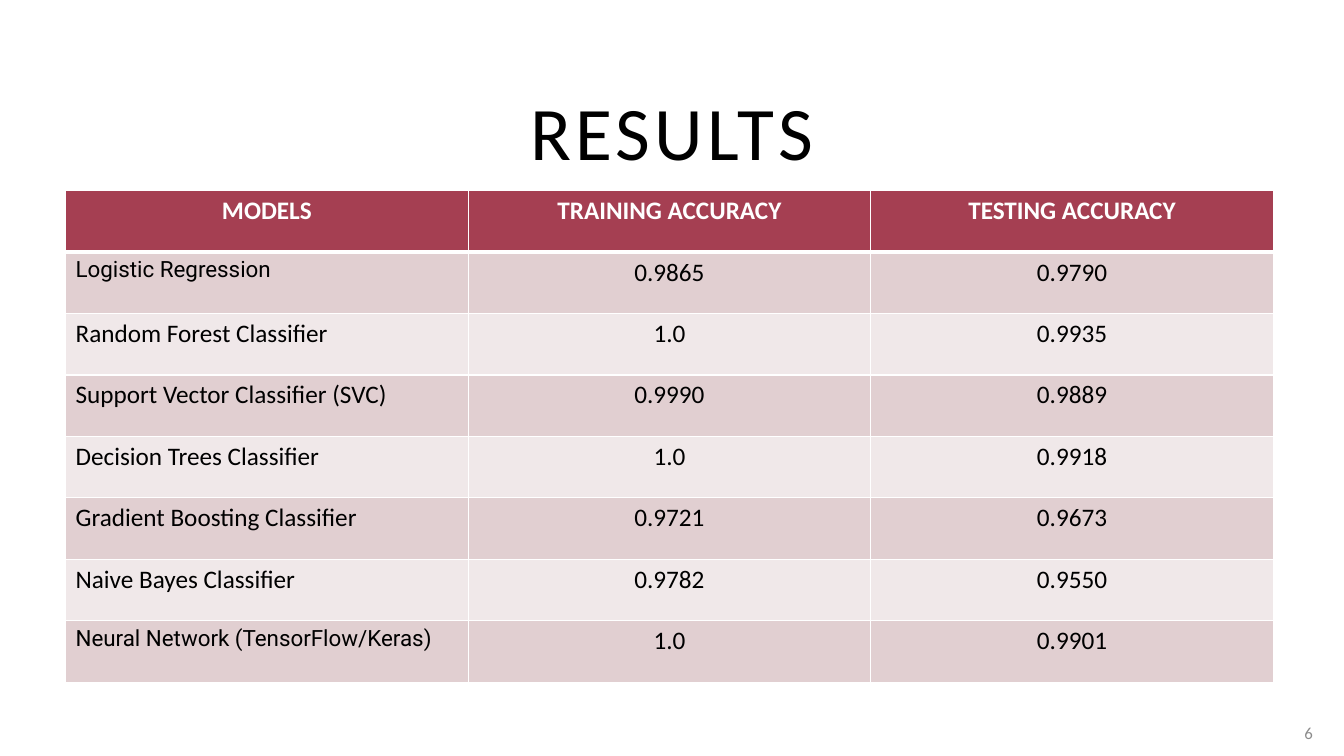
from lxml import etree
from pptx import Presentation
from pptx.dml.color import RGBColor
from pptx.enum.text import MSO_ANCHOR, MSO_AUTO_SIZE, PP_ALIGN
from pptx.oxml.ns import qn
from pptx.util import Inches, Pt

LEFT, CENTER, RIGHT = PP_ALIGN.LEFT, PP_ALIGN.CENTER, PP_ALIGN.RIGHT
MIDDLE = MSO_ANCHOR.MIDDLE
NO_AUTOFIT = MSO_AUTO_SIZE.NONE
TITLE_ONLY = 5

COLOURS = {
    "white": "FFFFFF",
    "black": "000000",
    "grey": "8C8C8C",
    "header": "A53F52",
    "dark band": "E1CFD1",
    "light band": "F0E8E9",
}

# Font formats
TITLE = {"name": "Calibri", "size": Pt(54), "bold": False}
NUMBER = {"name": "Calibri", "size": Pt(12)}
HEADER = {"name": "Calibri", "size": Pt(18), "bold": True}
BODY = {"name": "Calibri", "size": Pt(18), "bold": False}
ROBOTO = {"name": "Roboto", "size": Pt(16), "bold": False}

# Table content
RESULTS = [
    ("MODELS", "TRAINING ACCURACY", "TESTING ACCURACY"),
    ("Logistic Regression", "0.9865", "0.9790"),
    ("Random Forest Classifier", "1.0", "0.9935"),
    ("Support Vector Classifier (SVC)", "0.9990", "0.9889"),
    ("Decision Trees Classifier", "1.0", "0.9918"),
    ("Gradient Boosting Classifier", "0.9721", "0.9673"),
    ("Naive Bayes Classifier", "0.9782", "0.9550"),
    ("Neural Network (TensorFlow/Keras)", "1.0", "0.9901"),
]
ROBOTO_ROWS = (1, 7)


class ResultsSlide:
    """Places elements by percentages of the slide's width and height."""

    def __init__(self, deck):
        self.deck = deck
        self.page = deck.slides.add_slide(deck.slide_layouts[TITLE_ONLY])

    def area(self, left, top, width, height):
        across, down = self.deck.slide_width / 100, self.deck.slide_height / 100
        return (round(left * across), round(top * down),
                round(width * across), round(height * down))

    def add_text(self, frame, text, font, colour, align):
        para = frame.paragraphs[0]
        para.alignment = align
        span = para.add_run()
        span.text = text
        for name, value in font.items():
            setattr(span.font, name, value)
        span.font.color.rgb = RGBColor.from_string(COLOURS[colour])
        return span

    def title(self, text, place):
        box = self.page.shapes.title
        box.left, box.top, box.width, box.height = self.area(*place)
        frame = box.text_frame
        frame.auto_size, frame.vertical_anchor = NO_AUTOFIT, MIDDLE
        span = self.add_text(frame, text, TITLE, "black", CENTER)
        span.font._element.set("spc", "300")

    def page_number(self, text, place):
        frame = self.page.shapes.add_textbox(*self.area(*place)).text_frame
        frame.word_wrap, frame.vertical_anchor = True, MIDDLE
        self.add_text(frame, text, NUMBER, "grey", RIGHT)

    def borders(self, cell, **widths):
        properties = cell._tc.get_or_add_tcPr()
        for position, (side, width) in enumerate(widths.items()):
            line = etree.Element(qn(f"a:{side}"), w=str(Pt(width)))
            fill = etree.SubElement(line, qn("a:solidFill"))
            etree.SubElement(fill, qn("a:srgbClr"), val=COLOURS["white"])
            properties.insert(position, line)

    def table(self, rows, place):
        area = self.area(*place)
        table = self.page.shapes.add_table(len(rows), len(rows[0]), *area).table
        for column in table.columns:
            column.width = area[2] // len(rows[0])
        for number, row in enumerate(rows):
            table.rows[number].height = area[3] // len(rows)
            band = "dark band" if number % 2 else "light band"
            for column, text in enumerate(row):
                cell = table.cell(number, column)
                font, colour, align = BODY, "black", CENTER
                if number == 0:
                    font, colour, band = HEADER, "white", "header"
                elif column == 0:
                    font = ROBOTO if number in ROBOTO_ROWS else BODY
                    align = LEFT
                cell.fill.solid()
                cell.fill.fore_color.rgb = RGBColor.from_string(COLOURS[band])
                self.borders(cell, lnL=1, lnR=1, lnT=3 if number == 1 else 1,
                             lnB=3 if number == 0 else 1)
                self.add_text(cell.text_frame, text, font, colour, align)


def main():
    deck = Presentation()
    deck.slide_width, deck.slide_height = Inches(13.33), Inches(7.5)
    slide = ResultsSlide(deck)
    slide.title("RESULTS", (4.88, 11.2, 90.25, 12))
    slide.table(RESULTS, (4.88, 25.2, 89.87, 65.07))
    slide.page_number("6", (94.75, 94.27, 3.68, 5.33))
    deck.save("out.pptx")


if __name__ == "__main__":
    main()
